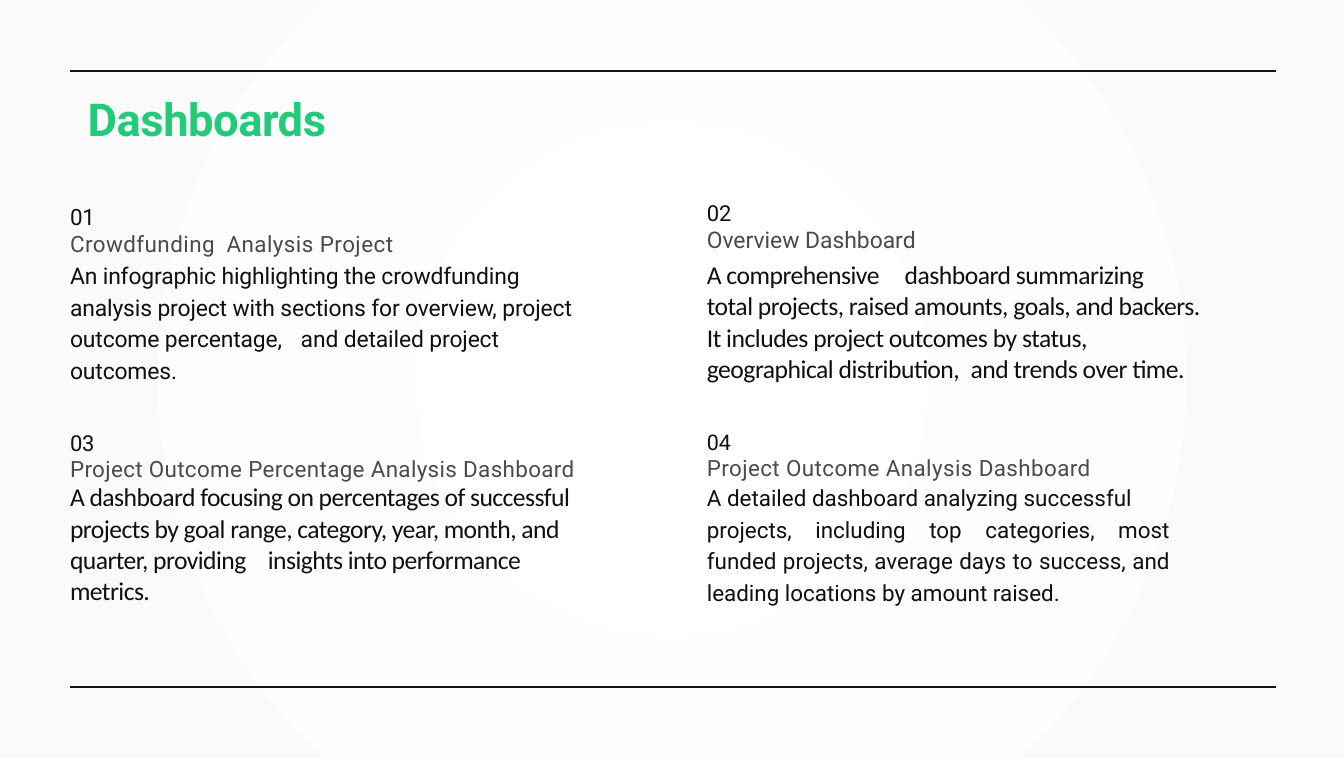
from lxml import etree
from pptx import Presentation
from pptx import util as u
from pptx.dml.color import RGBColor
from pptx.enum import shapes, text
from pptx.oxml.ns import qn

TITLE = "Dashboards"
INK, GREY, GREEN, RULE = "101010", "4A4A4A", "23CA79", "151515"
LEFT, RIGHT = 2.7, 49.16
RULES = [(2.74, 1.87), (26.47, 1.4)]  # y in cm, width in pt

# Body lines: text, line spacing, space before, tab stops in cm
BLOCKS = [
    dict(box=(2.7, 7.82, 20, 5.8), number="01", heading="Crowdfunding\tAnalysis Project",
         sizes=(24.5, 24.5, 25), leads=(28.7, 28.7), tracking=(0.5, -0.13), font="Roboto",
         align="LEFT", heading_tabs=[6.03],
         body=[("An infographic highlighting the crowdfunding analysis project with sections "
                "for overview, project outcome percentage,\tand detailed project outcomes.",
                1.15, 0.9, [8.89])]),
    dict(box=(27.24, 7.7, 19.05, 7.1), number="02", heading="Overview Dashboard",
         sizes=(24, 25, 28), leads=(27.6, 28.9), tracking=(0, -0.55), font="Calibri",
         align="LEFT", heading_tabs=[],
         body=[("A comprehensive\tdashboard summarizing", 1.02, 5.9, [7.62]),
               ("total projects, raised amounts, goals, and backers. It includes project "
                "outcomes by status, geographical distribution,\tand trends over time.",
                1.02, 0, [10.16])]),
    dict(box=(2.7, 16.54, 19.9, 5.64), number="03",
         heading="Project Outcome Percentage Analysis Dashboard",
         sizes=(24, 24.5, 28), leads=(27.9, 27.9), tracking=(0.4, -0.6), font="Calibri",
         align="LEFT", heading_tabs=[],
         body=[("A dashboard focusing on percentages of successful", u.Pt(33), 0, []),
               ("projects by goal range, category, year, month, and quarter, "
                "providing\tinsights into performance metrics.", 1.01, 0.5, [7.62])]),
    dict(box=(27.24, 16.51, 17.84, 6.86), number="04",
         heading="Project Outcome Analysis Dashboard",
         sizes=(23.5, 24.5, 24.5), leads=(27.5, 28.6), tracking=(0.45, 0), font="Roboto",
         align="JUSTIFY", heading_tabs=[],
         body=[("A detailed dashboard analyzing successful", 1.0, 2.9, []),
               ("projects, including top categories, most funded projects, average days to "
                "success, and leading locations by amount raised.", 1.17, 0.5, [])]),
]


def rgb(value):
    return RGBColor.from_string(value)


def prepare(tf):
    tf.word_wrap = True
    tf.auto_size = text.MSO_AUTO_SIZE.NONE
    tf.vertical_anchor = text.MSO_ANCHOR.TOP
    tf.margin_left = tf.margin_right = tf.margin_bottom = 0
    tf.margin_top = u.Cm(0.05)


def write(p, words, font, size, color, spacing=1.0, before=0, tracking=0,
          align="LEFT", tabs=(), bold=False):
    p.alignment = getattr(text.PP_ALIGN, align)
    p.line_spacing, p.space_before = spacing, u.Pt(before)
    if tabs:
        tab_list = etree.SubElement(p._p.get_or_add_pPr(), qn("a:tabLst"))
        for stop in tabs:
            etree.SubElement(tab_list, qn("a:tab"), pos=str(u.Cm(stop)), algn="l")
    f = p.font
    f.name, f.size, f.bold = font, u.Pt(size), bold
    f.color.rgb = rgb(color)
    r = p.add_run()
    r.text = words
    r._r.get_or_add_rPr().set("spc", str(round(tracking * 100)))


prs = Presentation()
prs.slide_width, prs.slide_height = u.Cm(51.79), u.Cm(29.21)
s = prs.slides.add_slide(prs.slide_layouts[5])

# Background: circular gradient from the centre
fill = s.background.fill
fill.gradient()
for stop, color in zip(fill.gradient_stops, ("FFFFFF", "FAFAFA")):
    stop.color.rgb = rgb(color)
grad = s.element.find(".//" + qn("a:gradFill"))
grad.remove(grad.find(qn("a:lin")))
circle = etree.SubElement(grad, qn("a:path"), path="circle")
etree.SubElement(circle, qn("a:fillToRect"), l="50000", t="50000", r="50000", b="50000")

# Rules above and below
for y, width in RULES:
    c = s.shapes.add_connector(shapes.MSO_CONNECTOR.STRAIGHT,
                               u.Cm(LEFT), u.Cm(y), u.Cm(RIGHT), u.Cm(y))
    c.line.color.rgb = rgb(RULE)
    c.line.width = u.Pt(width)
    etree.SubElement(c._element.spPr, qn("a:effectLst"))

# Title
title = s.shapes.title
title.left, title.top, title.width, title.height = map(u.Cm, (3.38, 3.48, 12.3, 2.16))
prepare(title.text_frame)
write(title.text_frame.paragraphs[0], TITLE, "Roboto", 49.5, GREEN, tracking=-0.5, bold=True)

# Four numbered descriptions
for b in BLOCKS:
    tf = s.shapes.add_textbox(*map(u.Cm, b["box"])).text_frame
    prepare(tf)
    number_size, heading_size, body_size = b["sizes"]
    number_lead, heading_lead = map(u.Pt, b["leads"])
    heading_tracking, body_tracking = b["tracking"]
    write(tf.paragraphs[0], b["number"], "Roboto", number_size, INK, number_lead, tracking=-0.2)
    write(tf.add_paragraph(), b["heading"], "Roboto", heading_size, GREY, heading_lead,
          tracking=heading_tracking, tabs=b["heading_tabs"])
    for words, spacing, before, tabs in b["body"]:
        write(tf.add_paragraph(), words, b["font"], body_size, INK, spacing, before,
              body_tracking, b["align"], tabs)

prs.save("out.pptx")
